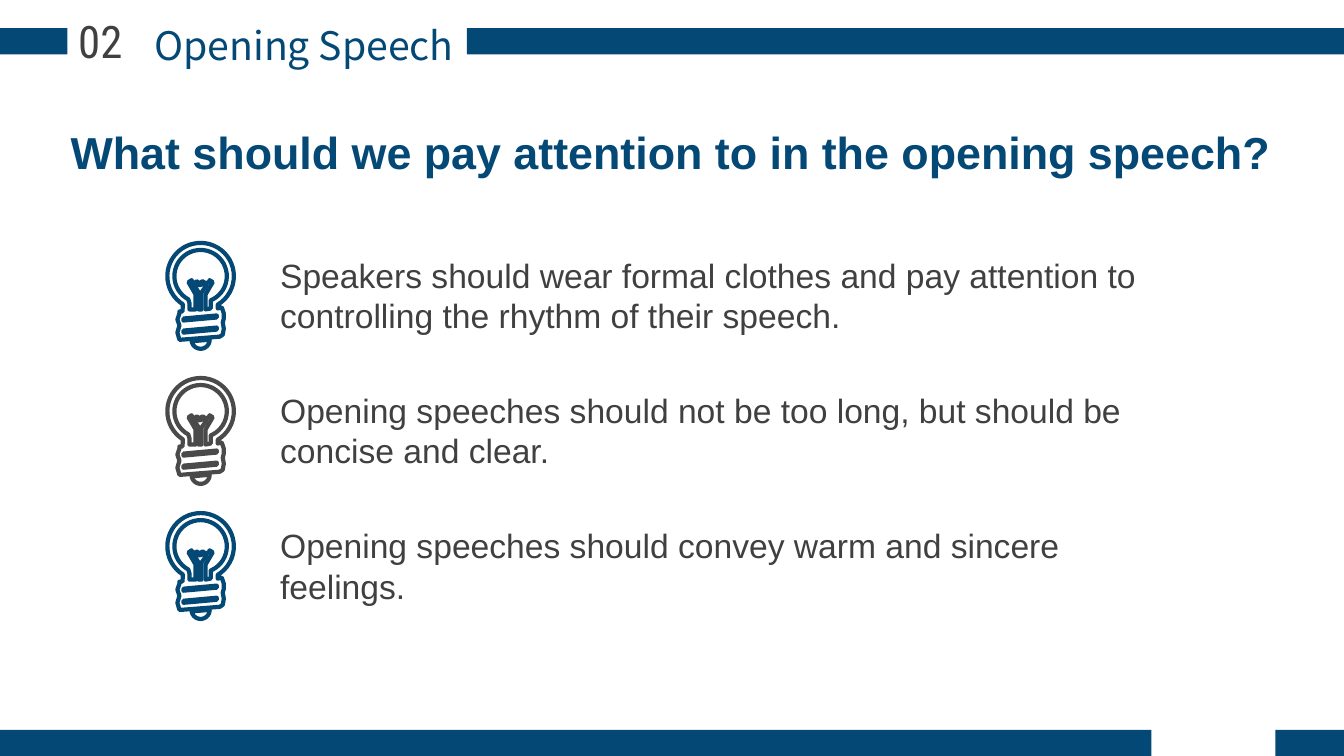
import math

import pptx
import pptx.dml.color
import pptx.enum.shapes
import pptx.enum.text
import pptx.util

Inches = pptx.util.Inches
ALIGN = pptx.enum.text.PP_ALIGN
COLORS = {"navy": "044875", "ink": "404040", "gray": "4A4A4A", "white": "FFFFFF"}
RGB = {name: pptx.dml.color.RGBColor.from_string(code) for name, code in COLORS.items()}


def write(shape, box, words, color, align, form):
    """Place a text shape and fill it with one formatted paragraph."""
    shape.left, shape.top, shape.width, shape.height = map(Inches, box)
    frame = shape.text_frame
    frame.text = words
    frame.word_wrap = True
    frame.vertical_anchor = pptx.enum.text.MSO_ANCHOR.TOP
    frame.auto_size = pptx.enum.text.MSO_AUTO_SIZE.SHAPE_TO_FIT_TEXT
    para = frame.paragraphs[0]
    para.alignment = align
    font = para.runs[0].font
    font.color.rgb = RGB[color]
    for key, value in form.items():
        setattr(font, key, value)


def arc(mid, radius, start, end):
    """List points along an arc, with angles in degrees clockwise from the right."""
    steps = 40
    turns = [math.radians(start + (end - start) * i / steps) for i in range(steps + 1)]
    return [(mid[0] + radius * math.cos(t), mid[1] + radius * math.sin(t)) for t in turns]


deck = pptx.Presentation()
deck.slide_width, deck.slide_height = Inches(13.33), Inches(7.5)
slide = deck.slides.add_slide(deck.slide_layouts[5])
shapes = slide.shapes

# Header and footer bars: left, top, width
for left, top, width in [(0, 0.28, 0.67), (4.63, 0.28, 8.7), (0, 7.24, 11.42), (12.65, 7.24, 0.68)]:
    bar = shapes.add_shape(pptx.enum.shapes.MSO_SHAPE.RECTANGLE,
                           Inches(left), Inches(top), Inches(width), Inches(0.26))
    bar.shadow.inherit = False
    bar.fill.solid()
    bar.fill.fore_color.rgb = RGB["navy"]
    bar.line.fill.background()

# Section label and question
labels = [
    ((1.29, 0.16, 3.45, 0.57), "Opening Speech", "navy", "Noto Sans CJK SC", 28),
    ((0.6, 0.09, 0.79, 0.64), "02", "ink", "Roboto Condensed", 32),
]
for box, words, color, face, size in labels:
    write(shapes.add_textbox(0, 0, 0, 0), box, words, color, ALIGN.CENTER,
          {"name": face, "size": pptx.util.Pt(size)})
write(shapes.title, (0.6, 1.19, 12.14, 0.64),
      "What should we pay attention to in the opening speech?", "navy", ALIGN.LEFT,
      {"name": "Arial", "size": pptx.util.Pt(32), "bold": True})

# Bulb contours in inches from the bulb's top left corner
glass = (0.33, 0.33)
outer = arc(glass, 0.33, 122, 419) + [
    (0.5, 0.65), (0.54, 0.64), (0.56, 0.7), (0.56, 0.75), (0.55, 0.79), (0.56, 0.85),
    (0.55, 0.91), (0.52, 0.93), (0.14, 0.96), (0.12, 0.96), (0.1, 0.89), (0.12, 0.82),
    (0.1, 0.76), (0.12, 0.7), (0.12, 0.68), (0.15, 0.68)]
inner = arc(glass, 0.26, 118, 422) + [
    (0.43, 0.57), (0.43, 0.65), (0.38, 0.66), (0.38, 0.51), (0.45, 0.39), (0.42, 0.37),
    (0.41, 0.39), (0.38, 0.4), (0.35, 0.38), (0.32, 0.4), (0.29, 0.38), (0.27, 0.4),
    (0.25, 0.39), (0.24, 0.37), (0.21, 0.39), (0.28, 0.51), (0.28, 0.66), (0.22, 0.66),
    (0.22, 0.6)]
wire = [(0.39, 0.42), (0.35, 0.41), (0.32, 0.42), (0.29, 0.41), (0.26, 0.41),
        (0.31, 0.49), (0.31, 0.66), (0.34, 0.66), (0.34, 0.49)]
base = arc((0.33, 0.96), 0.09, 0, 170)
threads = [[(0.49, y), (0.16, y + 0.03), (0.16, y + 0.05), (0.49, y + 0.02)]
           for y in (0.84, 0.72)]
bulb = [outer, inner, wire, base] + threads

tips = [
    ("Speakers should wear formal clothes and pay attention to controlling the rhythm of their speech.", "navy"),
    ("Opening speeches should not be too long, but should be concise and clear.", "gray"),
    ("Opening speeches should convey warm and sincere feelings.", "navy"),
]
for row, (words, color) in enumerate(tips):
    shift = 1.34 * row
    write(shapes.add_textbox(0, 0, 0, 0), (2.68, 2.48 + shift, 8.78, 0.91), words, "ink",
          ALIGN.LEFT, {"name": "Arial", "size": pptx.util.Pt(24)})
    pen = shapes.build_freeform()
    for number, path in enumerate(bulb):
        points = [(Inches(1.66 + x), Inches(2.41 + shift + y)) for x, y in path]
        if number == 0:
            pen = shapes.build_freeform(*points[0])
        else:
            pen.move_to(*points[0])
        pen.add_line_segments(points[1:], close=True)
    icon = pen.convert_to_shape()
    icon.shadow.inherit = False
    icon.fill.solid()
    icon.fill.fore_color.rgb = RGB["white"]
    icon.line.color.rgb = RGB[color]
    icon.line.width = pptx.util.Pt(3)

deck.save("out.pptx")
